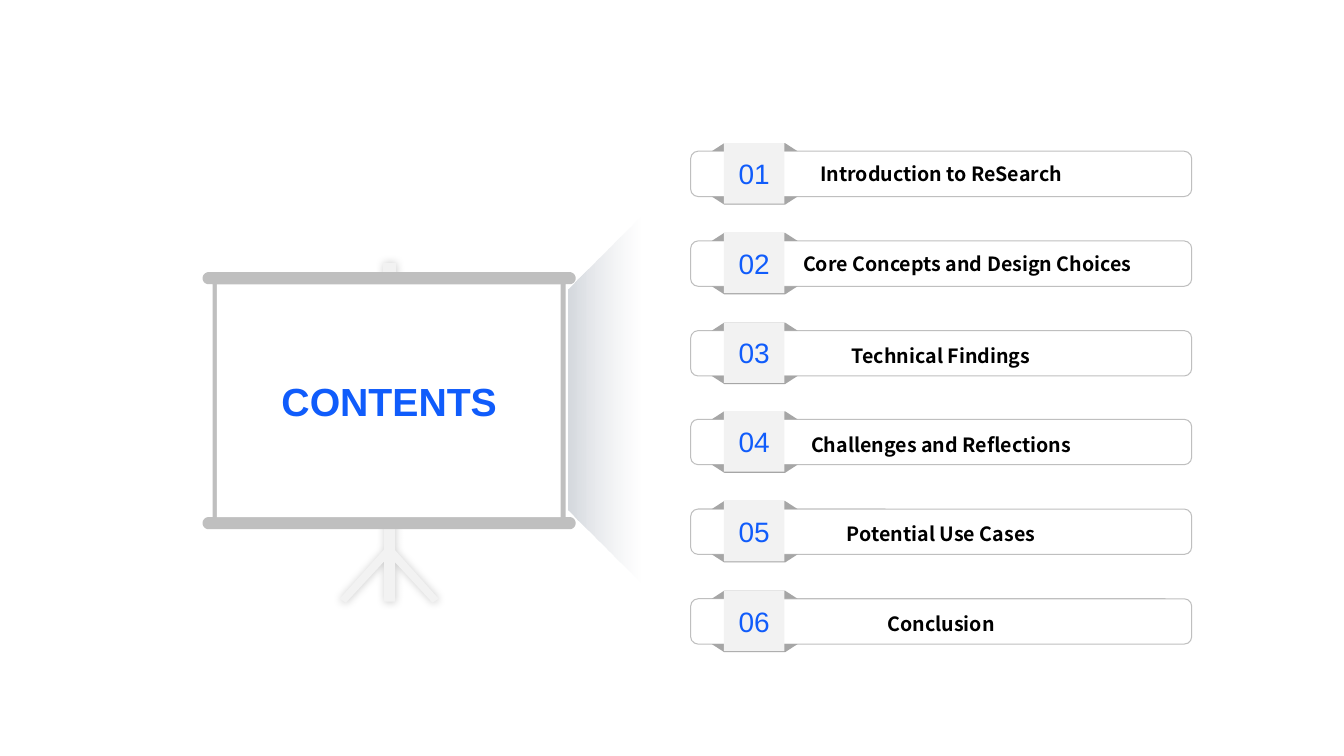
import math

import lxml.etree
import pptx
import pptx.dml.color
import pptx.enum.shapes
import pptx.enum.text
import pptx.oxml.ns
import pptx.util

RGBColor = pptx.dml.color.RGBColor
SHAPE = pptx.enum.shapes.MSO_SHAPE

BLUE = RGBColor(0x10, 0x5C, 0xFB)
BLACK = RGBColor(0x00, 0x00, 0x00)
WHITE = RGBColor(0xFF, 0xFF, 0xFF)
PALE = RGBColor(0xF2, 0xF2, 0xF2)
SILVER = RGBColor(0xBF, 0xBF, 0xBF)
FOLD_GREY = RGBColor(0xA6, 0xA6, 0xA6)
BEAM_START = RGBColor(0xD5, 0xD9, 0xDE)
BEAM_END = RGBColor(0xE5, 0xE7, 0xEB)

PX = 9144  # 100 px to the inch

TITLE_FONT = {"name": "Arial", "size": pptx.util.Pt(28), "bold": True}
NUMBER_FONT = {"name": "Arial", "size": pptx.util.Pt(20), "bold": False}
TOPIC_FONT = {"name": "Noto Sans CJK SC", "size": pptx.util.Pt(14), "bold": True}

# Topic, line spacing, left inset
TOPICS = [
    ("Introduction to ReSearch", 1.0, 10),
    ("Core Concepts and Design Choices", 1.0, 62),
    ("Technical Findings", 1.2, 10),
    ("Challenges and Reflections", 1.2, 10),
    ("Potential Use Cases", 1.2, 10),
    ("Conclusion", 1.2, 10),
]
FIRST_ROW, ROW_STEP = 150, 88.8


def add_xml(parent, tag, **values):
    return lxml.etree.SubElement(parent, pptx.oxml.ns.qn(tag), values)


def bar_cap(x, y, side, radius=6, steps=16):
    """Half circle that closes a bar; side is -1 for left, 1 for right."""
    angles = [math.pi * step / steps for step in range(steps + 1)]
    return [(x + side * radius * math.sin(angle), y - side * radius * math.cos(angle))
            for angle in angles]


class ContentsPage:
    def __init__(self, deck):
        self.page = deck.slides.add_slide(deck.slide_layouts[5])

    def paint(self, shape, fill=None, line=None):
        shape.shadow.inherit = False
        if fill is None:
            shape.fill.background()
        else:
            shape.fill.solid()
            shape.fill.fore_color.rgb = fill
        if line is None:
            shape.line.fill.background()
        else:
            shape.line.color.rgb = line
            shape.line.width = pptx.util.Pt(0.75)
        return shape

    def shape(self, kind, left, top, width, height, fill=None, line=None, adjust=None):
        box = self.page.shapes.add_shape(
            kind, left * PX, top * PX, width * PX, height * PX)
        if adjust is not None:
            box.adjustments[0] = adjust
        return self.paint(box, fill, line)

    def outline(self, contours, fill):
        scaled = [[(round(x * PX), round(y * PX)) for x, y in points]
                  for points in contours]
        builder = self.page.shapes.build_freeform(*scaled[0][0])
        builder.add_line_segments(scaled[0][1:])
        for points in scaled[1:]:
            builder.move_to(*points[0])
            builder.add_line_segments(points[1:])
        return self.paint(builder.convert_to_shape(), fill)

    def label(self, box, text, font, colour, spacing=1.0, inset=10):
        frame = box.text_frame
        frame.text = text
        frame_format = {
            "word_wrap": True,
            "auto_size": pptx.enum.text.MSO_AUTO_SIZE.NONE,
            "vertical_anchor": pptx.enum.text.MSO_ANCHOR.MIDDLE,
            "margin_left": inset * PX,
        }
        for key, value in frame_format.items():
            setattr(frame, key, value)
        para = frame.paragraphs[0]
        para.alignment = pptx.enum.text.PP_ALIGN.CENTER
        para.line_spacing = spacing
        span = para.runs[0]
        for key, value in font.items():
            setattr(span.font, key, value)
        span.font.color.rgb = colour

    def title(self, text, left, top, width, height):
        box = self.page.shapes.title
        place = {"left": left, "top": top, "width": width, "height": height}
        for key, value in place.items():
            setattr(box, key, value * PX)
        self.label(box, text, TITLE_FONT, BLUE, inset=0)
        box.text_frame.margin_right = 0
        # Bring the title in front of the screen
        box.element.getparent().append(box.element)

    def glow(self, shape):
        effects = shape.element.spPr.find(pptx.oxml.ns.qn("a:effectLst"))
        shadow = add_xml(effects, "a:outerShdw", blurRad=str(pptx.util.Pt(6)),
                         dist="0", dir="13500000", rotWithShape="0")
        colour = add_xml(shadow, "a:srgbClr", val=str(BLACK))
        add_xml(colour, "a:alpha", val="20000")

    def beam(self, left, top, width, height):
        beam = self.shape(SHAPE.TRAPEZOID, left, top, width, height, adjust=1.013)
        beam.rotation = 270
        beam.fill.gradient()
        beam.fill.gradient_angle = 270
        for stop, colour in zip(beam.fill.gradient_stops, (BEAM_START, BEAM_END)):
            stop.color.rgb = colour
        last = beam.element.spPr.findall(".//" + pptx.oxml.ns.qn("a:srgbClr"))[-1]
        add_xml(last, "a:alpha", val="0")

    def row(self, number, top, topic, spacing, inset):
        bar = self.shape(SHAPE.ROUNDED_RECTANGLE, 685, top, 497, 45, line=SILVER)
        self.label(bar, topic, TOPIC_FONT, BLACK, spacing, inset)
        for fold_top, turn in ((top + 45, 180), (top - 8, 0)):
            fold = self.shape(SHAPE.TRAPEZOID, 706, fold_top, 85, 8, FOLD_GREY,
                              adjust=1.546)
            fold.rotation = turn
        tab = self.shape(SHAPE.RECTANGLE, 718, top - 8, 60, 60, PALE)
        self.label(tab, f"{number:02d}", NUMBER_FONT, BLUE)


def main():
    deck = pptx.Presentation()
    deck.slide_width, deck.slide_height = 1333 * PX, 750 * PX
    contents = ContentsPage(deck)

    # Tripod: top hook, then pole with two legs
    hook = [(380, 261), (393, 261), (393, 279), (380, 279), (380, 261)]
    legs = [(381, 496), (392, 496), (392, 546), (435, 594), (429, 598), (392, 558),
            (392, 597), (381, 597), (381, 557), (343, 598), (337, 594), (381, 545)]
    contents.glow(contents.outline([hook, legs], PALE))

    # Frame: two round-ended bars joined by posts
    frame = [(211, 513), (211, 282)]
    frame += bar_cap(207, 276, -1) + bar_cap(565, 276, 1)
    frame += [(561, 282), (561, 513)]
    frame += bar_cap(565, 519, 1) + bar_cap(207, 519, -1)
    contents.outline([frame], SILVER)

    # Screen, light beam and title
    contents.shape(SHAPE.RECTANGLE, 215, 282, 341, 231, WHITE)
    contents.beam(418, 361, 363, 71)
    contents.title("CONTENTS", 268, 369, 236, 57)

    # Numbered topics
    for index, (topic, spacing, inset) in enumerate(TOPICS):
        top = round(FIRST_ROW + index * ROW_STEP)
        contents.row(index + 1, top, topic, spacing, inset)

    deck.save("out.pptx")


if __name__ == "__main__":
    main()
